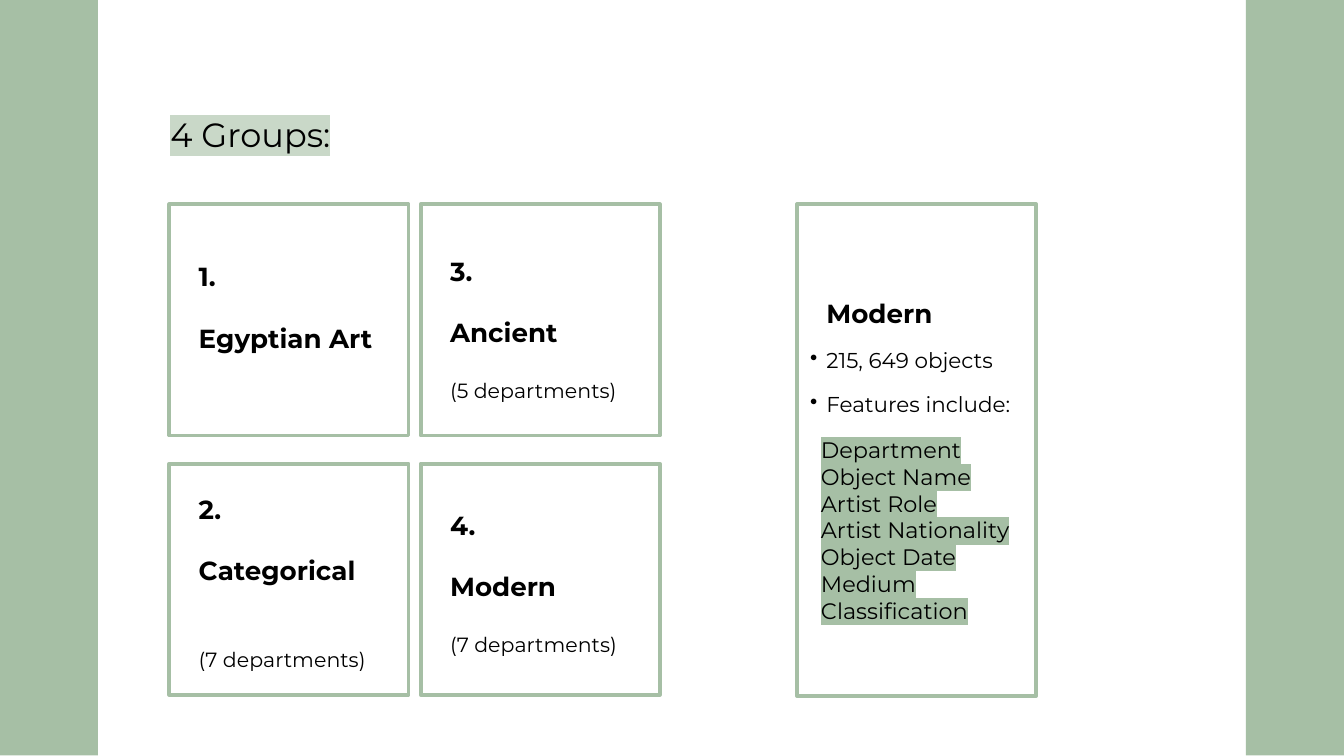
import pptx
import pptx.dml.color
import pptx.enum.shapes
import pptx.enum.text
import pptx.oxml.ns
import pptx.util
from lxml import etree

Inches = pptx.util.Inches
Pt = pptx.util.Pt
qn = pptx.oxml.ns.qn
SAGE = "A6BFA5"
PALE_SAGE = "C9D8C8"
BLACK = "000000"
FONT = "Montserrat"


def color(value):
    return pptx.dml.color.RGBColor.from_string(value)


def add_box(slide, left, top, width, height):
    box = slide.shapes.add_shape(
        pptx.enum.shapes.MSO_SHAPE.RECTANGLE,
        Inches(left), Inches(top), Inches(width), Inches(height))
    box.shadow.inherit = False
    return box


def prepare_frame(frame, top_inset):
    frame.word_wrap = True
    frame.vertical_anchor = pptx.enum.text.MSO_ANCHOR.TOP
    frame.margin_left = frame.margin_right = Inches(0.1)
    frame.margin_top = Inches(top_inset)
    frame.margin_bottom = Inches(0.05)


def add_line(frame, text, size, indent=0, before=0, bold=False,
             bullet=False, highlight=None):
    first = frame.paragraphs[0]
    line = frame.add_paragraph() if first.runs else first
    line.text = text
    line.alignment = pptx.enum.text.PP_ALIGN.LEFT
    line.space_before = Pt(before)
    properties = line._p.get_or_add_pPr()
    properties.set("marL", str(Inches(indent)))
    properties.set("indent", str(-Inches(indent) if bullet else 0))
    if bullet:
        bullet_color = etree.SubElement(properties, qn("a:buClr"))
        etree.SubElement(bullet_color, qn("a:srgbClr"), val=BLACK)
        etree.SubElement(properties, qn("a:buChar"), char="•")
    font = line.runs[0].font
    font.size = Pt(size)
    font.bold = bold
    font.color.rgb = color(BLACK)
    font.name = FONT
    if highlight:
        marker = etree.Element(qn("a:highlight"))
        etree.SubElement(marker, qn("a:srgbClr"), val=highlight)
        font._element.find(qn("a:solidFill")).addnext(marker)


def add_side_bar(slide, left, top, width, height):
    bar = add_box(slide, left, top, width, height)
    bar.fill.solid()
    bar.fill.fore_color.rgb = color(SAGE)
    bar.line.fill.background()


def add_title(slide, left, top, width, height):
    title = slide.shapes.add_textbox(
        Inches(left), Inches(top), Inches(width), Inches(height))
    prepare_frame(title.text_frame, 0.67)
    add_line(title.text_frame, "4 Groups:", 18, highlight=PALE_SAGE)


def add_card(slide, left, top, width, height, top_inset):
    card = add_box(slide, left, top, width, height)
    card.fill.background()
    card.line.color.rgb = color(SAGE)
    card.line.width = Pt(2)
    prepare_frame(card.text_frame, top_inset)
    return card.text_frame


def add_group(slide, left, top, width, height, top_inset,
              number, name, departments, departments_gap):
    frame = add_card(slide, left, top, width, height, top_inset)
    add_line(frame, number, 14, 0.12, bold=True)
    add_line(frame, name, 14, 0.12, before=16, bold=True)
    if departments:
        add_line(frame, departments, 11, 0.12, before=departments_gap)


def add_modern_details(slide, left, top, width, height):
    frame = add_card(slide, left, top, width, height, 0.69)
    add_line(frame, "Modern", 14, 0.12, bold=True)
    for fact in ("215, 649 objects", "Features include:"):
        add_line(frame, fact, 11.5, 0.12, before=10, bullet=True)
    features = ("Department", "Object Name", "Artist Role",
                "Artist Nationality", "Object Date", "Medium",
                "Classification")
    for index, feature in enumerate(features):
        add_line(frame, feature, 12, 0.08, before=0 if index else 10,
                 highlight=SAGE)


def main():
    presentation = pptx.Presentation()
    presentation.slide_width = Inches(10)
    presentation.slide_height = presentation.slide_width * 9 // 16
    slide = presentation.slides.add_slide(presentation.slide_layouts[6])

    for left in (0, 9.27):
        add_side_bar(slide, left, 0, 0.73, 5.62)
    add_title(slide, 1.17, 0.18, 3.47, 1.13)

    groups = (
        ("1.", "Egyptian Art", "", 0, 0.42),
        ("2.", "Categorical", "(7 departments)", 32.6, 0.22),
        ("3.", "Ancient", "(5 departments)", 16, 0.38),
        ("4.", "Modern", "(7 departments)", 16, 0.34),
    )
    for index, (number, name, departments, gap, inset) in enumerate(groups):
        column, row = divmod(index, 2)
        add_group(slide, 1.26 + 1.87 * column, 1.52 + 1.93 * row, 1.78, 1.72,
                  inset, number, name, departments, gap)
    add_modern_details(slide, 5.93, 1.52, 1.78, 3.66)

    presentation.save("out.pptx")


if __name__ == "__main__":
    main()
